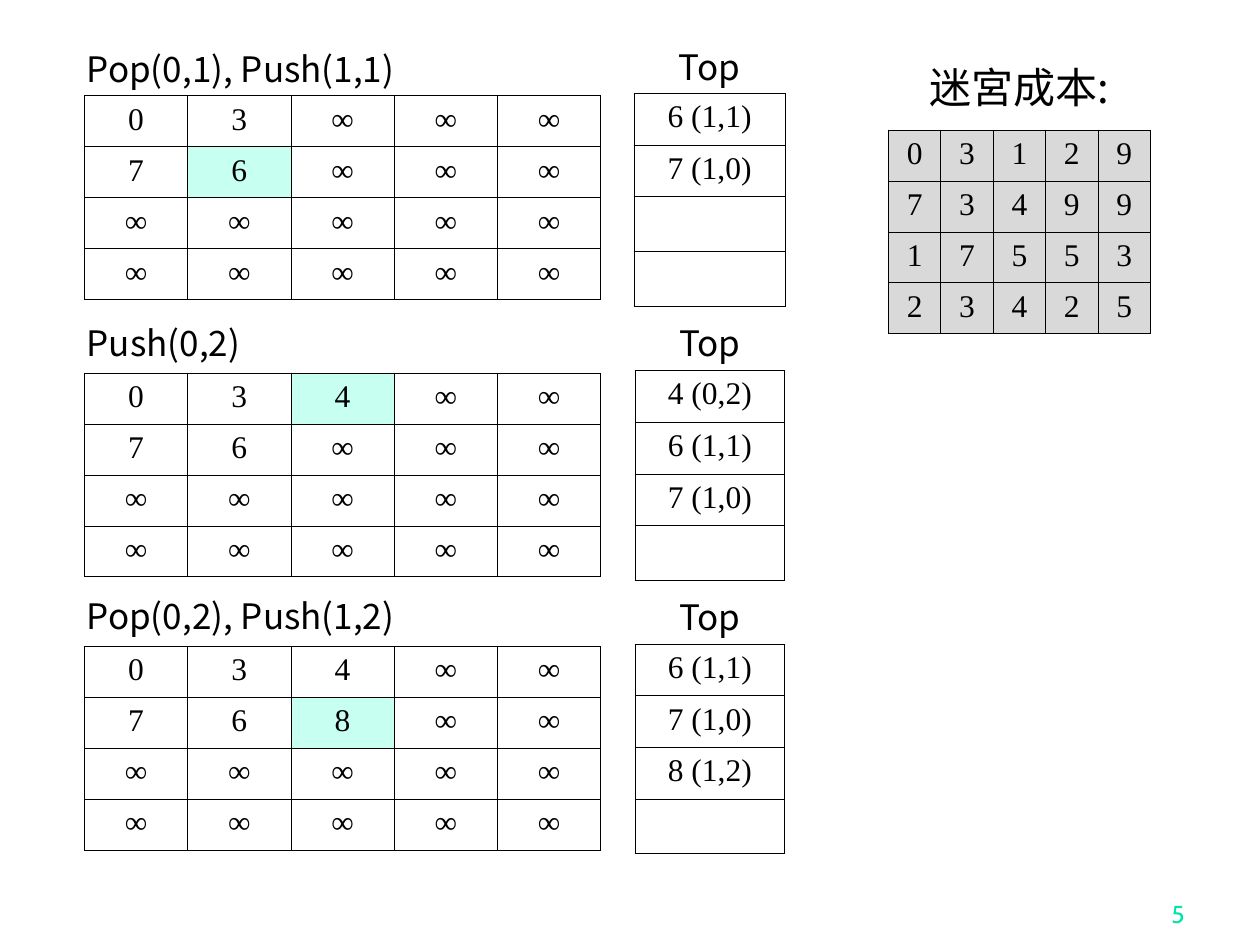
from lxml.etree import SubElement
from pptx import Presentation
from pptx.dml.color import RGBColor
from pptx.enum.text import MSO_ANCHOR as Anchor, MSO_AUTO_SIZE as AutoSize, PP_ALIGN as Align
from pptx.oxml.ns import qn
from pptx.util import Cm, Pt

BLACK = RGBColor(0x00, 0x00, 0x00)
GRAY = RGBColor(0xD9, 0xD9, 0xD9)
MINT = RGBColor(0xC7, 0xFF, 0xF0)
GREEN = RGBColor(0x00, 0xE4, 0xA8)

SANS = "Noto Sans CJK SC"
LABEL = {"name": SANS, "size": Pt(20)}
TITLE = {"name": SANS, "size": Pt(24)}
CELL = {"name": "Times New Roman", "size": Pt(18)}
NUMBER = {"name": "Cabin", "size": Pt(14)}

BLANK_ROW = ["∞"] * 5
COSTS = ["03129", "73499", "17553", "23425"]

# Each step: label, label top, "Top" box (left, top, width), grid top,
# first two grid rows, highlighted cell (row, column), stack entries
STEPS = [
    ("Pop(0,1), Push(1,1)", 0.84, (12.78, 0.79, 3.05), 1.93,
     ["03∞∞∞", "76∞∞∞"], (1, 1), ["6 (1,1)", "7 (1,0)"]),
    ("Push(0,2)", 6.35, (12.8, 6.35, 3.02), 7.52,
     ["034∞∞", "76∞∞∞"], (0, 2), ["4 (0,2)", "6 (1,1)", "7 (1,0)"]),
    ("Pop(0,2), Push(1,2)", 11.86, (12.8, 11.89, 3.02), 13.03,
     ["034∞∞", "768∞∞"], (1, 2), ["6 (1,1)", "7 (1,0)", "8 (1,2)"]),
]
STACK_SIZE = 4


def write(paragraph, text, text_format, align, color=BLACK):
    paragraph.alignment = align
    run = paragraph.add_run()
    run.text = text
    for attribute, value in text_format.items():
        setattr(run.font, attribute, value)
    run.font.color.rgb = color
    SubElement(run.font._element, qn("a:ea"), typeface=text_format["name"])


def size_empty_line(paragraph):
    """An empty stack slot keeps the line height of the label font."""
    end = SubElement(paragraph._p, qn("a:endParaRPr"), sz="2000")
    for script in ("a:latin", "a:ea"):
        SubElement(end, qn(script), typeface=SANS)


def add_label(slide, text, box, text_format, align=Align.CENTER):
    label = slide.shapes.add_textbox(*map(Cm, box))
    frame = label.text_frame
    frame.word_wrap = True
    frame.auto_size = AutoSize.SHAPE_TO_FIT_TEXT
    write(frame.paragraphs[0], text, text_format, align)


def add_page_number(slide, number):
    box = slide.shapes.add_textbox(Cm(18.85), Cm(17.58), Cm(5.28), Cm(1.27))
    frame = box.text_frame
    frame.word_wrap = True
    frame.vertical_anchor = Anchor.BOTTOM
    write(frame.paragraphs[0], number, NUMBER, Align.RIGHT, GREEN)


def add_borders(cell):
    properties = cell._tc.get_or_add_tcPr()
    for side in ("a:lnL", "a:lnR", "a:lnT", "a:lnB"):
        line = SubElement(properties, qn(side), w=str(Pt(0.45)))
        fill = SubElement(line, qn("a:solidFill"))
        SubElement(fill, qn("a:srgbClr"), val=str(BLACK))


def add_grid(slide, rows, box, fills=None):
    """Draw rows of values; fills maps (row, column) to a colour."""
    fills = fills or {}
    table = slide.shapes.add_table(len(rows), len(rows[0]), *map(Cm, box)).table
    table.first_row = table.horz_banding = False
    for r, row in enumerate(rows):
        for c, value in enumerate(row):
            cell = table.cell(r, c)
            add_borders(cell)
            if (r, c) in fills:
                cell.fill.solid()
                cell.fill.fore_color.rgb = fills[r, c]
            else:
                cell.fill.background()
            paragraph = cell.text_frame.paragraphs[0]
            if value:
                write(paragraph, value, CELL, Align.CENTER)
            else:
                size_empty_line(paragraph)


def add_step(slide, label, label_top, top_box, grid_top, first_rows, changed, entries):
    left, top, width = top_box
    # Distance grid
    add_label(slide, label, (1.5, label_top, 7.3, 1.12), LABEL, Align.LEFT)
    add_grid(slide, first_rows + [BLANK_ROW] * 2, (1.7, grid_top, 10.41, 4.11),
             {changed: MINT})
    # Stack
    add_label(slide, "Top", (left, top, width, 1.12), LABEL)
    slots = entries + [""] * (STACK_SIZE - len(entries))
    add_grid(slide, [[slot] for slot in slots], (left, grid_top - 0.05, width, 4.17))


def main():
    prs = Presentation()
    prs.slide_width, prs.slide_height = Cm(25.4), Cm(19.05)
    slide = prs.slides.add_slide(prs.slide_layouts[6])

    # Maze costs
    add_label(slide, "迷宮成本:", (17.91, 1.12, 5.28, 1.27), TITLE)
    gray_cells = {(r, c): GRAY for r in range(4) for c in range(5)}
    add_grid(slide, COSTS, (17.91, 2.62, 5.28, 4.11), gray_cells)

    # Search steps
    for step in STEPS:
        add_step(slide, *step)

    add_page_number(slide, "5")
    prs.save("out.pptx")


if __name__ == "__main__":
    main()
